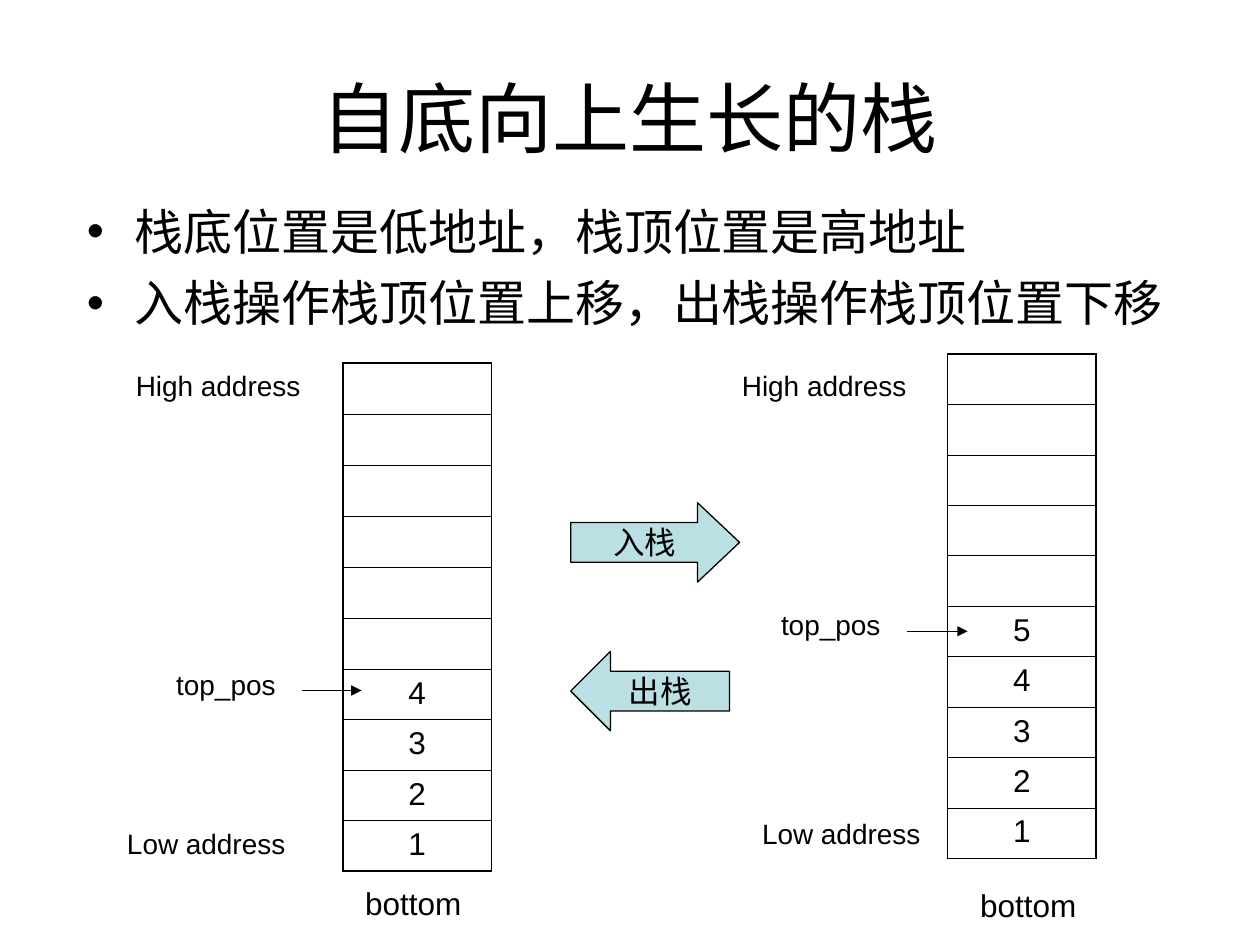
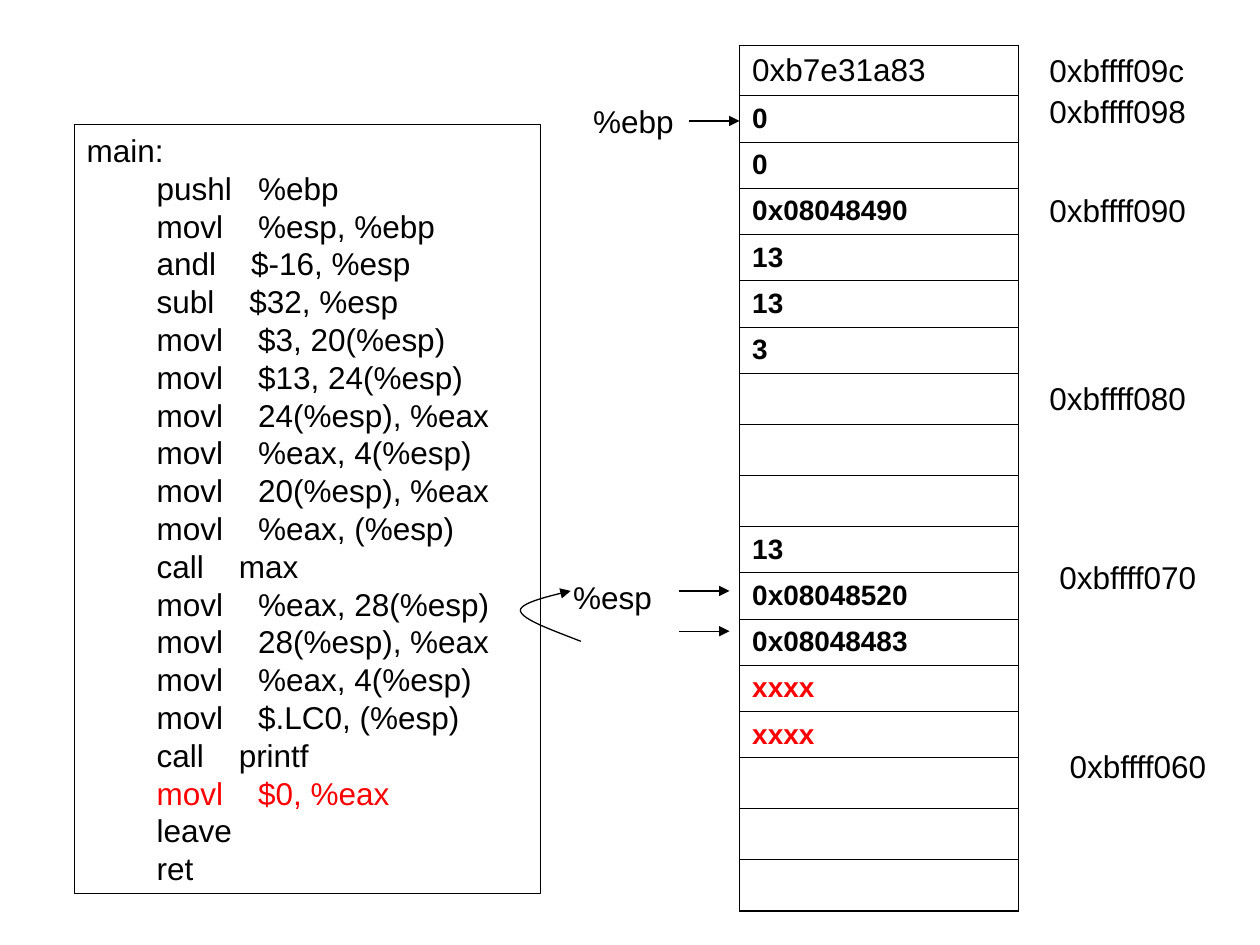
from lxml import etree
from pptx import Presentation
from pptx.dml.color import RGBColor
from pptx.enum import shapes, text
from pptx.oxml import ns
from pptx.util import Inches, Pt

FONT = "Arial"
COLORS = {"ink": "000000", "arrow": "BBE0E3", "alert": "FF0000"}
THIN, THICK, STROKE = 0.45, 1.08, 0.75
TITLE_AND_BODY, BLANK = 1, 6

CODE = """main:
        pushl   %ebp
        movl    %esp, %ebp
        andl    $-16, %esp
        subl    $32, %esp
        movl    $3, 20(%esp)
        movl    $13, 24(%esp)
        movl    24(%esp), %eax
        movl    %eax, 4(%esp)
        movl    20(%esp), %eax
        movl    %eax, (%esp)
        call    max
        movl    %eax, 28(%esp)
        movl    28(%esp), %eax
        movl    %eax, 4(%esp)
        movl    $.LC0, (%esp)
        call    printf
        movl    $0, %eax
        leave
        ret"""
CURRENT_LINE = 17


def rgb(name):
    return RGBColor.from_string(COLORS[name])


def write(para, words, size=18, bold=False, color="ink", align="LEFT", before=0):
    para.alignment = getattr(text.PP_ALIGN, align)
    para.space_before = Pt(before)
    span = para.add_run()
    span.text = words
    span.font.name = FONT
    span.font.size = Pt(size)
    span.font.bold = bold
    span.font.color.rgb = rgb(color)


def add_bullet(para):
    props = para._p.get_or_add_pPr()
    props.set("marL", str(Inches(0.38)))
    props.set("indent", str(Inches(-0.38)))
    etree.SubElement(props, ns.qn("a:buFont")).set("typeface", FONT)
    etree.SubElement(props, ns.qn("a:buChar")).set("char", "•")


def add_border(cell, side, width):
    line = etree.SubElement(cell._tc.get_or_add_tcPr(), ns.qn(f"a:ln{side}"))
    line.set("w", str(Pt(width)))
    fill = etree.SubElement(line, ns.qn("a:solidFill"))
    etree.SubElement(fill, ns.qn("a:srgbClr")).set("val", COLORS["ink"])


def add_arrowhead(line):
    etree.SubElement(line._get_or_add_ln(), ns.qn("a:tailEnd")).set("type", "triangle")


def bezier(start, control1, control2, end, steps=12):
    """Return points along a cubic curve, leaving out its start."""
    points = []
    for step in range(1, steps + 1):
        t = step / steps
        weights = ((1 - t) ** 3, 3 * t * (1 - t) ** 2, 3 * t * t * (1 - t), t ** 3)
        corners = (start, control1, control2, end)
        points.append(tuple(sum(w * c[axis] for w, c in zip(weights, corners))
                            for axis in (0, 1)))
    return points


class Page:
    def __init__(self, deck, layout):
        self.slide = deck.slides.add_slide(deck.slide_layouts[layout])
        self.shapes = self.slide.shapes

    def place(self, box, left, top, width, height):
        box.left, box.top = Inches(left), Inches(top)
        box.width, box.height = Inches(width), Inches(height)

    def title(self, words):
        box = self.shapes.title
        self.place(box, 0.5, 0.3, 9, 1.25)
        box.text_frame.auto_size = text.MSO_AUTO_SIZE.NONE
        box.text_frame.vertical_anchor = text.MSO_ANCHOR.MIDDLE
        write(box.text_frame.paragraphs[0], words, size=44, align="CENTER")

    def bullets(self, lines):
        box = self.slide.placeholders[1]
        self.place(box, 0.59, 1.55, 8.98, 1.18)
        frame = box.text_frame
        frame.auto_size = text.MSO_AUTO_SIZE.NONE
        for index, words in enumerate(lines):
            para = frame.add_paragraph() if index else frame.paragraphs[0]
            write(para, words, size=28, before=7 if index else 0)
            add_bullet(para)

    def label(self, words, left, top, width, height=0.4, **style):
        box = self.shapes.add_textbox(*map(Inches, (left, top, width, height)))
        box.text_frame.word_wrap = True
        write(box.text_frame.paragraphs[0], words, **style)

    def shape(self, kind, left, top, width, height, fill=None):
        box = self.shapes.add_shape(kind, *map(Inches, (left, top, width, height)))
        box.shadow.inherit = False
        self.outline(box, fill)
        return box

    def outline(self, box, fill=None):
        if fill:
            box.fill.solid()
            box.fill.fore_color.rgb = rgb(fill)
        else:
            box.fill.background()
        box.line.color.rgb = rgb("ink")
        box.line.width = Pt(STROKE)

    def block_arrow(self, kind, words, left, top, width, point):
        box = self.shape(kind, left, top, width, 0.63, fill="arrow")
        box.adjustments[0], box.adjustments[1] = 0.5, point
        box.text_frame.word_wrap = False
        box.text_frame.vertical_anchor = text.MSO_ANCHOR.MIDDLE
        write(box.text_frame.paragraphs[0], words, align="CENTER")

    def code(self, source, left, top, width, height):
        frame = self.shape(shapes.MSO_SHAPE.RECTANGLE, left, top, width, height).text_frame
        frame.word_wrap = True
        frame.vertical_anchor = text.MSO_ANCHOR.TOP
        for index, line in enumerate(source.split("\n")):
            para = frame.add_paragraph() if index else frame.paragraphs[0]
            write(para, line, color="alert" if index == CURRENT_LINE else "ink")

    def arrow(self, left, y, right):
        line = self.shapes.add_connector(
            shapes.MSO_CONNECTOR.STRAIGHT, *map(Inches, (left, y, right, y)))
        line.line.color.rgb = rgb("ink")
        line.line.width = Pt(STROKE)
        add_arrowhead(line.line)
        etree.SubElement(line._element.spPr, ns.qn("a:effectLst"))

    def curved_arrow(self, start, *curves):
        points = [start]
        for curve in curves:
            points += bezier(points[-1], *curve)
        inches = [(Inches(x), Inches(y)) for x, y in points]
        builder = self.shapes.build_freeform(*inches[0])
        builder.add_line_segments(inches[1:], close=False)
        curve = builder.convert_to_shape()
        curve.shadow.inherit = False
        self.outline(curve)
        add_arrowhead(curve.line)

    def memory(self, rows, left, top, width, side=THIN, first=THIN, anchor="TOP"):
        """Draw one column of cells; rows holds (words, height, style)."""
        total = sum(height for _, height, _ in rows)
        frame = self.shapes.add_table(
            len(rows), 1, *map(Inches, (left, top, width, total)))
        table = frame.table
        table.first_row = table.horz_banding = False
        for index, (words, height, style) in enumerate(rows):
            table.rows[index].height = Inches(height)
            cell = table.cell(index, 0)
            add_border(cell, "L", side)
            add_border(cell, "R", side)
            add_border(cell, "T", THIN if index else first)
            add_border(cell, "B", THICK if index == len(rows) - 1 else THIN)
            cell.fill.background()
            cell.vertical_anchor = getattr(text.MSO_ANCHOR, anchor)
            if words:
                write(cell.text_frame.paragraphs[0], words, **style)


def build_growth(deck):
    page = Page(deck, TITLE_AND_BODY)
    page.title("自底向上生长的栈")
    page.bullets(["栈底位置是低地址，栈顶位置是高地址",
                  "入栈操作栈顶位置上移，出栈操作栈顶位置下移"])

    stacks = [
        # depth, table corner, high, low, top_pos and bottom corners, arrow
        (4, (2.72, 2.88), (0.98, 2.88), (0.91, 6.51), (1.3, 5.25), (2.8, 6.97),
         (2.4, 5.48, 2.87)),
        (5, (7.52, 2.81), (5.79, 2.88), (5.95, 6.43), (6.1, 4.77), (7.68, 6.98),
         (7.2, 5.01, 7.68)),
    ]
    for depth, corner, high, low, top_pos, bottom, pointer in stacks:
        rows = [(str(level) if level <= depth else "", 0.4, {"align": "CENTER"})
                for level in range(10, 0, -1)]
        page.memory(rows, *corner, 1.18, side=THICK, first=THICK)
        page.label("High address", *high, 1.57, 0.37, size=16)
        page.label("Low address", *low, 1.57, 0.37, size=16)
        page.label("top_pos", *top_pos, 1.02, 0.37, size=16)
        page.label("bottom", *bottom, 1.02)
        page.arrow(*pointer)

    page.block_arrow(shapes.MSO_SHAPE.RIGHT_ARROW, "入栈", 4.53, 3.99, 1.34, 0.53)
    page.block_arrow(shapes.MSO_SHAPE.LEFT_ARROW, "出栈", 4.53, 5.17, 1.26, 0.5)


def build_frame(deck):
    page = Page(deck, BLANK)
    page.code(CODE, 0.59, 0.99, 3.7, 6.1)

    values = ["0", "0", "0x08048490", "13", "13", "3", "", "", "",
              "13", "0x08048520", "0x08048483", "xxxx", "xxxx", "", "", ""]
    rows = [("0xb7e31a83", 0.4, {})]
    for value in values:
        color = "alert" if value == "xxxx" else "ink"
        rows.append((value, 0.367 if value else 0.4,
                     {"size": 16, "bold": True, "color": color}))
    page.memory(rows, 5.87, 0.36, 2.21, anchor="MIDDLE")

    addresses = [("0xbffff09c", 8.23, 0.36), ("0xbffff098", 8.23, 0.68),
                 ("0xbffff090", 8.23, 1.47), ("0xbffff080", 8.23, 2.96),
                 ("0xbffff070", 8.31, 4.38), ("0xbffff060", 8.39, 5.88)]
    for address, left, top in addresses:
        page.label(address, left, top, 1.42)
    page.label("%ebp", 4.61, 0.76, 0.95)
    page.label("%esp", 4.45, 4.54, 0.95)

    page.arrow(5.47, 0.96, 5.87)
    for y in (4.69, 5.01):
        page.arrow(5.39, y, 5.79)
    page.curved_arrow((4.61, 5.09),
                      ((4.38, 5), (4.15, 4.92), (4.13, 4.85)),
                      ((4.12, 4.79), (4.32, 4.74), (4.53, 4.69)))


def main():
    deck = Presentation()
    deck.slide_width, deck.slide_height = Inches(10), Inches(7.5)
    build_growth(deck)
    build_frame(deck)
    deck.save("out.pptx")


if __name__ == "__main__":
    main()
